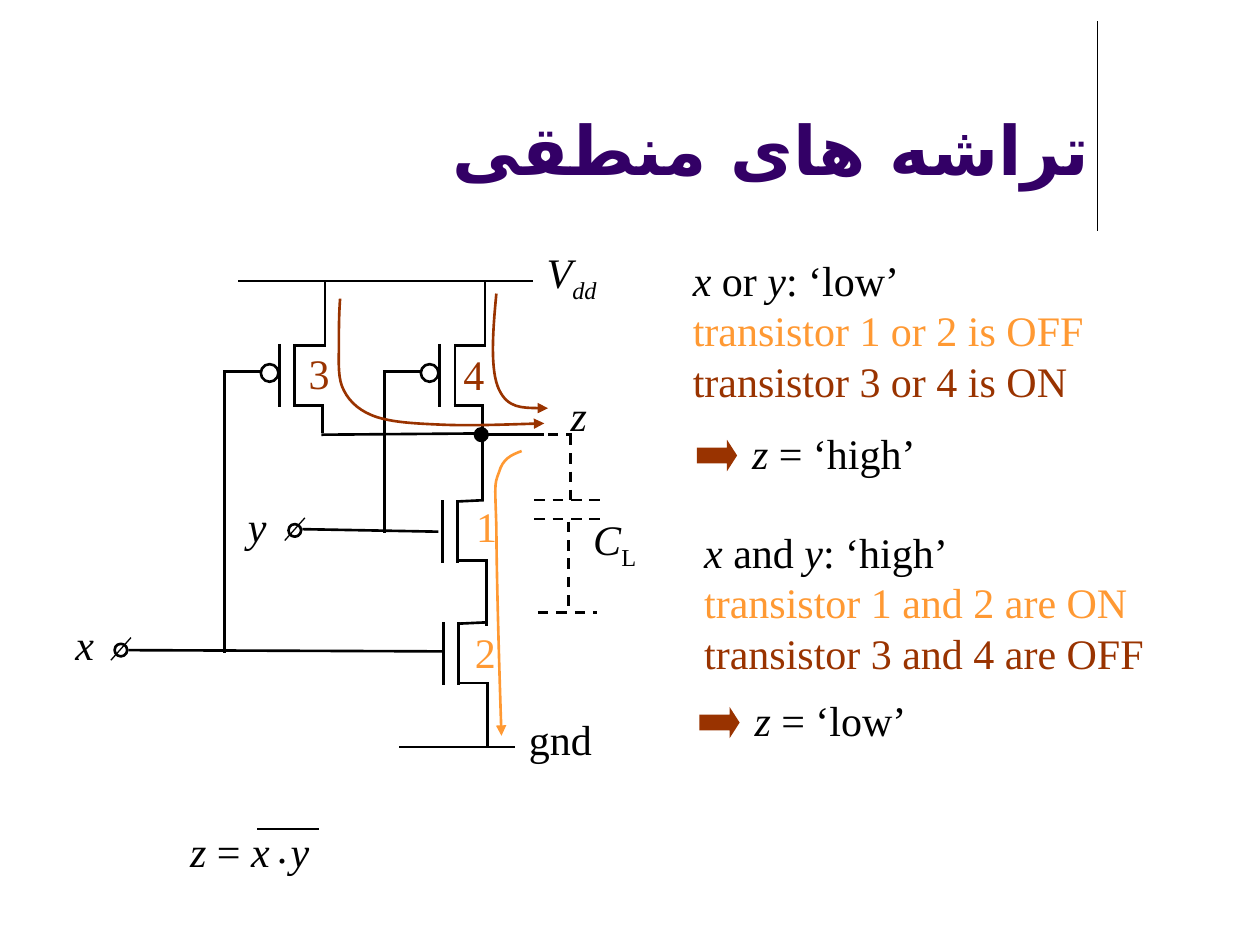
import pptx
import pptx.util
import pptx.dml.color
import pptx.enum.dml
import pptx.enum.shapes
import pptx.enum.text
import pptx.oxml
import pptx.oxml.ns

Inches, Pt = pptx.util.Inches, pptx.util.Pt
RGB = pptx.dml.color.RGBColor
SHAPE = pptx.enum.shapes.MSO_SHAPE
FIT = pptx.enum.text.MSO_AUTO_SIZE
qn = pptx.oxml.ns.qn

BLACK = RGB(0x00, 0x00, 0x00)
ORANGE = RGB(0xFF, 0x99, 0x33)
RUST = RGB(0x99, 0x33, 0x00)
PURPLE = RGB(0x33, 0x00, 0x66)
TEXT = {"name": "Times New Roman", "size": Pt(24)}
HEAD = {"name": "Arial", "size": Pt(39), "bold": True}
# Run styles: italic, subscript, wide gap
STYLE = {"": {}, "i": {"i": "1"}, "s": {"baseline": "-25000"},
         "is": {"i": "1", "baseline": "-25000"}, "w": {"spc": "600"}}


def add(parent, tag, **attrs):
    node = pptx.oxml.parse_xml(f"<{tag} {pptx.oxml.ns.nsdecls('a')}/>")
    for key, value in attrs.items():
        node.set(key, value)
    parent.append(node)
    return node


def style(font, values, color):
    for key, value in values.items():
        setattr(font, key, value)
    font.color.rgb = color


def wire(slide, box, ends, width=1.5, dash=False):
    x, y = box
    x1, y1, x2, y2 = ends
    line = slide.shapes.add_connector(
        pptx.enum.shapes.MSO_CONNECTOR.STRAIGHT,
        Inches(x + x1), Inches(y + y1), Inches(x + x2), Inches(y + y2))
    line.line.width = Pt(width)
    line.line.color.rgb = BLACK
    if dash:
        line.line.dash_style = pptx.enum.dml.MSO_LINE.DASH
    add(line._element.spPr, "a:effectLst")


def ring(slide, box, size, fill=None):
    x, y = box
    dot = slide.shapes.add_shape(SHAPE.OVAL, Inches(x), Inches(y), Inches(size), Inches(size))
    dot.shadow.inherit = False
    dot.line.width = Pt(1.5)
    dot.line.color.rgb = BLACK
    if fill is None:
        dot.fill.background()
    else:
        dot.fill.solid()
        dot.fill.fore_color.rgb = fill


def label(slide, box, size, paras):
    """Each paragraph is a colour and a list of (text, style) runs."""
    shape = slide.shapes.add_textbox(*map(Inches, (*box, *size)))
    frame = shape.text_frame
    frame.word_wrap = False
    frame.auto_size = FIT.SHAPE_TO_FIT_TEXT
    for i, (color, runs) in enumerate(paras):
        para = frame.add_paragraph() if i else frame.paragraphs[0]
        for text, kind in runs:
            run = para.add_run()
            run.text = text
            style(run.font, TEXT, color)
            for key, value in STYLE[kind].items():
                run._r.get_or_add_rPr().set(key, value)


def flow(slide, box, color, points):
    """Curved arrow: a start point, then three points for each Bezier piece."""
    x, y = box
    spots = [(Inches(x + dx), Inches(y + dy)) for dx, dy in points]
    build = slide.shapes.build_freeform(*spots[0])
    build.add_line_segments(spots[1:], close=False)
    curve = build.convert_to_shape()
    curve.shadow.inherit = False
    curve.fill.background()
    curve.line.width = Pt(1.5)
    curve.line.color.rgb = color
    add(curve.line._get_or_add_ln(), "a:tailEnd", type="triangle", w="med", len="med")
    steps = list(curve._element.iter(qn("a:lnTo")))
    track = steps[0].getparent()
    for i in range(0, len(steps), 3):
        bend = add(track, "a:cubicBezTo")
        for step in steps[i:i + 3]:
            bend.append(step[0])
            track.remove(step)


def gate(slide, box, top):
    """Gate bar, channel bar and the two stubs of a transistor."""
    stubs = [(0.13, 0.01, 0.37, 0.01), (0.11, 0.49, 0.35, 0.49)] if top else [
        (0.12, 0.01, 0.33, 0), (0.12, 0.48, 0.36, 0.48)]
    leads = [(0.36, -0.49, 0.36, 0.01), (0.34, 0.49, 0.34, 0.71),
             (-0.16, 0.22, -0.45, 0.22)] if top else [(0.35, 0.49, 0.35, 1)]
    for ends in [(0, 0, 0, 0.5), (0.12, 0, 0.12, 0.5)] + stubs + leads:
        wire(slide, box, ends)
    if top:
        ring(slide, (box[0] - 0.15, box[1] + 0.16), 0.14)


def port(slide, box):
    ring(slide, box, 0.1)
    wire(slide, box, (0.13, -0.05, -0.03, 0.13), 0.75)


def circuit(slide, box):
    x, y = box

    # Transistors and input terminals
    for dx, dy, top in [(1.72, 0.83, True), (2.99, 0.83, True),
                        (3.01, 2.07, False), (3.02, 3.04, False)]:
        gate(slide, (x + dx, y + dy), top)
    for dx, dy in [(0.41, 3.21), (1.79, 2.26)]:
        port(slide, (x + dx, y + dy))

    # Rails and wires
    for ends in [(1.39, 0.33, 3.73, 0.33), (2.67, 4.03, 3.59, 4.03),
                 (3.28, 1.55, 3.82, 1.55), (2.05, 1.55, 3.33, 1.54),
                 (1.28, 1.05, 1.28, 3.28), (2.55, 1.05, 2.55, 2.33),
                 (3.33, 1.57, 3.33, 2.07), (0.52, 3.26, 3.02, 3.27),
                 (1.9, 2.3, 2.98, 2.32)]:
        wire(slide, box, ends)
    ring(slide, (x + 3.27, y + 1.5), 0.1, BLACK)

    # Load capacitor
    for ends in [(3.41, 1.55, 4.04, 1.55), (4.03, 1.55, 4.03, 2.07),
                 (3.74, 2.07, 4.31, 2.07), (3.74, 2.22, 4.31, 2.22),
                 (4.01, 2.24, 4.01, 2.95), (3.77, 2.96, 4.24, 2.96)]:
        wire(slide, box, ends, dash=True)

    # Labels
    for dx, dy, w, h, color, runs in [
            (0, 2.96, 0.37, 0.5, BLACK, [("x", "i")]),
            (1.37, 2.02, 0.37, 0.5, BLACK, [("y", "i")]),
            (3.93, 1.14, 0.35, 0.5, BLACK, [("z", "i")]),
            (3.74, 0.01, 0.65, 0.56, BLACK, [("V", "i"), ("dd", "is")]),
            (3.6, 3.71, 0.8, 0.5, BLACK, [("gnd", "")]),
            (4.11, 2.13, 0.58, 0.56, BLACK, [("C", "i"), ("L", "s")]),
            (3.18, 2.02, 0.38, 0.5, ORANGE, [("1", "")]),
            (3.17, 3.02, 0.38, 0.5, ORANGE, [("2", "")]),
            (1.85, 0.81, 0.38, 0.5, RUST, [("3", "")]),
            (3.08, 0.82, 0.38, 0.5, RUST, [("4", "")])]:
        label(slide, (x + dx, y + dy), (w, h), [(color, runs)])

    # Current paths
    flow(slide, box, RUST, [
        (2.2, 0.47), (2.19, 0.6), (2.19, 0.73), (2.19, 0.85), (2.19, 0.98), (2.18, 1.11),
        (2.23, 1.2), (2.28, 1.3), (2.37, 1.37), (2.49, 1.41), (2.62, 1.45), (2.76, 1.46),
        (2.99, 1.47), (3.21, 1.48), (3.51, 1.47), (3.82, 1.46)])
    flow(slide, box, RUST, [
        (3.44, 0.43), (3.41, 0.74), (3.39, 1.04), (3.46, 1.19), (3.53, 1.34),
        (3.69, 1.34), (3.85, 1.34)])
    flow(slide, box, ORANGE, [
        (3.64, 1.68), (3.56, 1.71), (3.49, 1.74), (3.46, 1.85), (3.42, 1.95), (3.43, 1.95),
        (3.44, 2.3), (3.44, 2.65), (3.47, 3.67), (3.48, 3.94)])


def formula(slide, box):
    x, y = box
    label(slide, box, (1.25, 0.5), [
        (BLACK, [("z", "i"), (" = ", ""), ("x", "i"), (" ", "w"), ("y", "i")])])
    label(slide, (x + 0.69, y - 0.03), (0.3, 0.5), [(BLACK, [(".", "")])])
    wire(slide, box, (0.63, 0.08, 1.12, 0.08))


def case(slide, box, width, word, level, low, high):
    label(slide, box, (width, 1.3), [
        (BLACK, [("x", "i"), (f" {word} ", ""), ("y", "i"), (f": ‘{level}’", "")]),
        (ORANGE, [(low, "")]), (RUST, [(high, "")])])


def result(slide, box, width, level):
    x, y = box
    arrow = slide.shapes.add_shape(
        SHAPE.RIGHT_ARROW, Inches(x), Inches(y), Inches(0.32), Inches(0.25))
    arrow.adjustments[1] = 0.32
    arrow.shadow.inherit = False
    arrow.fill.solid()
    arrow.fill.fore_color.rgb = RUST
    arrow.line.fill.background()
    label(slide, (x + 0.34, y - 0.15), (width, 0.5), [
        (BLACK, [("z", "i"), (f" = ‘{level}’", "")])])


def heading(slide, box, text):
    title = slide.shapes.title
    title.left, title.top, title.width, title.height = map(Inches, box)
    frame = title.text_frame
    frame.auto_size = FIT.NONE
    frame.vertical_anchor = pptx.enum.text.MSO_ANCHOR.BOTTOM
    para = frame.paragraphs[0]
    para.alignment = pptx.enum.text.PP_ALIGN.RIGHT
    para._p.get_or_add_pPr().set("rtl", "1")
    run = para.add_run()
    run.text = text
    style(run.font, HEAD, PURPLE)
    add(run._r.get_or_add_rPr(), "a:cs", typeface="DejaVu Sans")
    wire(slide, box[:2], (5.63, 0.04, 5.63, 1.7), 0.75)


def main():
    deck = pptx.Presentation()
    deck.slide_width, deck.slide_height = Inches(10), Inches(7.5)
    slide = deck.slides.add_slide(deck.slide_layouts[5])
    heading(slide, (3.08, 0.13, 5.67, 1.42), "تراشه های منطقی")
    circuit(slide, (0.5, 1.9))
    formula(slide, (1.41, 6.5))
    case(slide, (5.4, 1.97), 3.35, "or", "low",
         "transistor 1 or 2 is OFF", "transistor 3 or 4 is ON")
    result(slide, (5.53, 3.49), 1.55, "high")
    case(slide, (5.49, 4.13), 3.75, "and", "high",
         "transistor 1 and 2 are ON", "transistor 3 and 4 are OFF")
    result(slide, (5.55, 5.61), 1.5, "low")
    deck.save("out.pptx")


if __name__ == "__main__":
    main()
